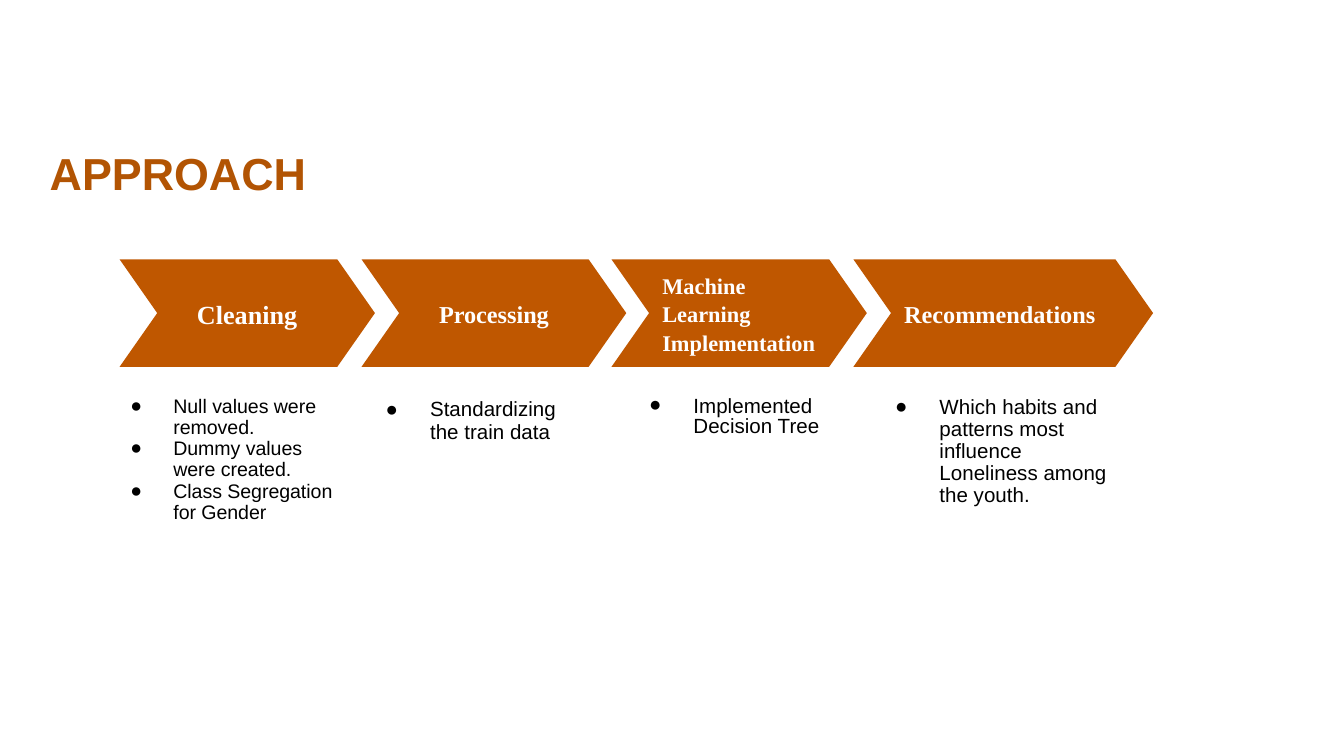
import pptx
import pptx.dml.color
import pptx.enum.shapes
import pptx.enum.text
import pptx.oxml.ns
import pptx.util
from lxml import etree
from pptx.util import Inches

THEME = {
    "title": "B25403", "chevron": "BF5700", "label": "FFFFFF", "text": "000000",
    "heading_font": "Times New Roman", "body_font": "Arial", "title_size": 24,
}
ALIGN = pptx.enum.text.PP_ALIGN
ANCHOR = pptx.enum.text.MSO_ANCHOR
AUTO_SIZE = pptx.enum.text.MSO_AUTO_SIZE

# Step: left, width, type size, alignment, label
# List: left, top, width, height, type size, hanging indent, line spacing, items
STEPS = [
    ((0.89, 1.9, 14, ALIGN.CENTER, "Cleaning"),
     (0.69, 2.9, 2, 1.6, 10.5, 0.32, 0.9,
      ["Null values were removed.", "Dummy values were created.",
       "Class Segregation for Gender"])),
    ((2.69, 1.97, 13, ALIGN.CENTER, "Processing"),
     (2.6, 2.92, 1.83, 0.69, 11, 0.33, 0.9, ["Standardizing the train data"])),
    ((4.55, 1.9, 12, ALIGN.LEFT, "Machine Learning Implementation"),
     (4.56, 2.9, 1.83, 0.41, 11, 0.33, 0.84, ["Implemented Decision Tree"])),
    ((6.35, 2.23, 13, ALIGN.LEFT, "Recommendations"),
     (6.39, 2.9, 2, 1.2, 11, 0.33, 0.9,
      ["Which habits and patterns most influence Loneliness among the youth."])),
]


def style(paragraph, font, size, color, bold):
    for run in paragraph.runs:
        run.font.name = font
        run.font.size = pptx.util.Pt(size)
        run.font.bold = bold
        run.font.color.rgb = pptx.dml.color.RGBColor.from_string(color)


def add_bullet(paragraph, hanging):
    properties = paragraph._p.get_or_add_pPr()
    properties.set("marL", str(Inches(0.5)))
    properties.set("indent", str(-Inches(hanging)))
    qn = pptx.oxml.ns.qn
    bullet_color = etree.SubElement(properties, qn("a:buClr"))
    etree.SubElement(bullet_color, qn("a:srgbClr"), val=THEME["text"])
    etree.SubElement(properties, qn("a:buFont"), typeface=THEME["body_font"])
    etree.SubElement(properties, qn("a:buChar"), char="●")


# Widescreen, 16 to 9
presentation = pptx.Presentation()
presentation.slide_width = Inches(10)
presentation.slide_height = Inches(10) * 9 // 16

# The comparison layout has a title and four body placeholders
slide = presentation.slides.add_slide(presentation.slide_layouts[4])

# Title
title = slide.shapes.title
title.left, title.top, title.width, title.height = map(Inches, (0.27, 0.9, 9, 0.77))
title.text_frame.text = "APPROACH"
title.text_frame.vertical_anchor = ANCHOR.MIDDLE
title.text_frame.auto_size = AUTO_SIZE.NONE
title.text_frame.paragraphs[0].alignment = ALIGN.LEFT
style(title.text_frame.paragraphs[0], THEME["body_font"], THEME["title_size"],
      THEME["title"], True)

for number, (step, details) in enumerate(STEPS, start=1):
    # Chevron with the name of the step
    left, width, size, alignment, label = step
    chevron = slide.shapes.add_shape(
        pptx.enum.shapes.MSO_SHAPE.CHEVRON,
        Inches(left), Inches(1.93), Inches(width), Inches(0.8))
    chevron.adjustments[0] = 0.35
    chevron.shadow.inherit = False
    chevron.fill.solid()
    chevron.fill.fore_color.rgb = pptx.dml.color.RGBColor.from_string(THEME["chevron"])
    chevron.line.fill.background()
    frame = chevron.text_frame
    frame.margin_left = frame.margin_right = Inches(0.1)
    frame.margin_top = frame.margin_bottom = Inches(0.1)
    frame.vertical_anchor = ANCHOR.MIDDLE
    frame.text = label
    frame.paragraphs[0].alignment = alignment
    frame.paragraphs[0].line_spacing = 1.06
    style(frame.paragraphs[0], THEME["heading_font"], size, THEME["label"], True)

    # Bulleted details below the chevron
    left, top, width, height, size, hanging, spacing, items = details
    bullets = slide.placeholders[number]
    bullets.left, bullets.top = Inches(left), Inches(top)
    bullets.width, bullets.height = Inches(width), Inches(height)
    frame = bullets.text_frame
    frame.word_wrap = True
    frame.auto_size = AUTO_SIZE.SHAPE_TO_FIT_TEXT
    frame.vertical_anchor = ANCHOR.TOP
    frame.text = "\n".join(items)
    for paragraph in frame.paragraphs:
        add_bullet(paragraph, hanging)
        paragraph.alignment = ALIGN.LEFT
        paragraph.line_spacing = spacing
        paragraph.space_before = pptx.util.Pt(0)
        style(paragraph, THEME["body_font"], size, THEME["text"], False)

presentation.save("out.pptx")
